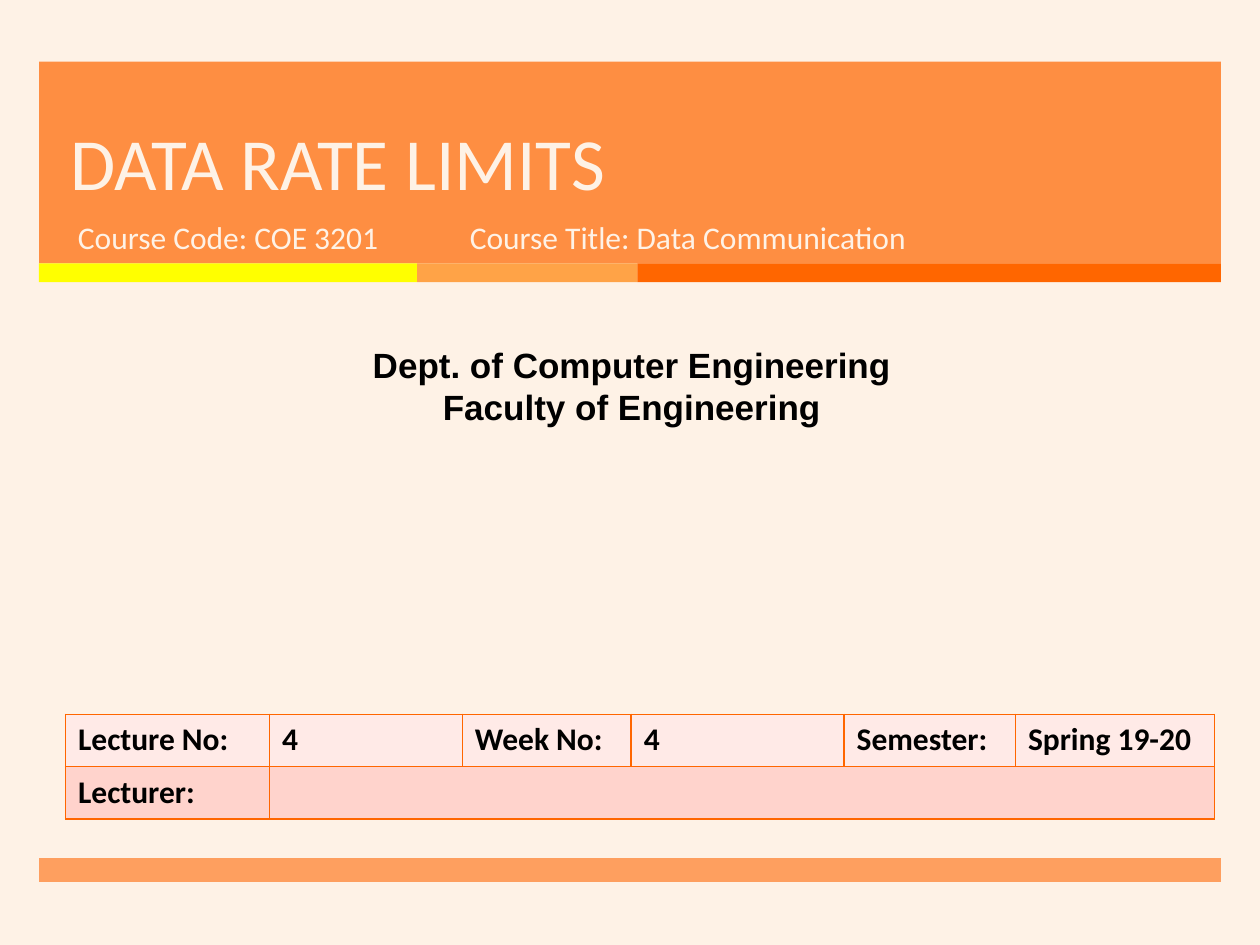
from dataclasses import dataclass

from lxml.etree import SubElement as Sub
from pptx import Presentation
from pptx.dml.color import RGBColor as Rgb
from pptx.enum.shapes import MSO_SHAPE as Kind
from pptx.enum.text import MSO_ANCHOR as Anchor, PP_ALIGN as Align
from pptx.oxml.ns import qn
from pptx.util import Inches, Pt


@dataclass(frozen=True)
class Theme:
    back: str = "FEF2E6"
    band: str = "FF7D26"
    yellow: str = "FFFF00"
    amber: str = "FFA347"
    orange: str = "FF6600"
    ink: str = "000000"
    rows: tuple = ("FFEAE7", "FFD3CC")
    title: int = 42
    dept: int = 20
    body: int = 18
    sans: str = "Calibri"
    bold: str = "Arial"


T = Theme()
LEFT, WIDE = 0.31, 9.38
HEAD = {"name": T.sans, "size": Pt(T.title), "color": T.back}
SUB = {**HEAD, "size": Pt(T.body)}
DEPT = {"name": T.bold, "size": Pt(T.dept), "bold": True, "color": T.ink}
CELL = {**DEPT, "name": T.sans, "size": Pt(T.body)}


def paint(fill, color):
    fill.solid()
    fill.fore_color.rgb = Rgb.from_string(color)


def style(font, form):
    for key, val in form.items():
        if key == "color":
            paint(font.fill, val)
        else:
            setattr(font, key, val)


def add_bar(slide, box, color, alpha=100):
    bar = slide.shapes.add_shape(Kind.RECTANGLE, *map(Inches, box))
    bar.shadow.inherit = False
    bar.line.fill.background()
    paint(bar.fill, color)
    if alpha < 100:
        tone = bar.fill._xPr.find(".//" + qn("a:srgbClr"))
        Sub(tone, qn("a:alpha"), val=str(alpha * 1000))


def add_text(slide, box, lines, form, para=None, anchor=Anchor.TOP):
    frame = slide.shapes.add_textbox(*map(Inches, box)).text_frame
    frame.word_wrap = True
    frame.vertical_anchor = anchor
    frame.text = "\n".join(lines)
    for item in frame.paragraphs:
        for key, val in (para or {}).items():
            setattr(item, key, val)
        style(item.runs[0].font, form)


def add_edges(cell):
    props = cell._tc.get_or_add_tcPr()
    for side in "LRTB":
        edge = Sub(props, qn(f"a:ln{side}"), w=str(Pt(1)))
        fill = Sub(edge, qn("a:solidFill"))
        Sub(fill, qn("a:srgbClr"), val=T.orange)


def add_grid(slide, box, cols, rows):
    shape = slide.shapes.add_table(len(rows), len(cols), *map(Inches, box))
    grid = shape.table
    for col, width in zip(grid.columns, cols):
        col.width = Inches(width)
    for r, row in enumerate(rows):
        for c, text in enumerate(row):
            cell = grid.cell(r, c)
            add_edges(cell)
            paint(cell.fill, T.rows[r])
            if text:
                cell.text = text
                style(cell.text_frame.paragraphs[0].runs[0].font, CELL)
    grid.cell(1, 1).merge(grid.cell(1, len(cols) - 1))


def main():
    deck = Presentation()
    deck.slide_width, deck.slide_height = Inches(10), Inches(7.5)
    slide = deck.slides.add_slide(deck.slide_layouts[6])
    paint(slide.background.fill, T.back)

    add_bar(slide, (LEFT, 0.49, WIDE, 1.6), T.band, 85)
    left = LEFT
    for width, color in ((3, T.yellow), (1.75, T.amber), (4.63, T.orange)):
        add_bar(slide, (left, 2.09, width, 0.15), color)
        left += width
    add_bar(slide, (LEFT, 6.81, WIDE, 0.19), T.band, 70)

    add_text(slide, (0.46, 0.49, 8.54, 1.19), ["DATA RATE LIMITS"], HEAD,
             {"line_spacing": Pt(46)}, Anchor.BOTTOM)
    add_text(slide, (0.52, 1.68, 3.05, 0.53), ["Course Code: COE 3201"], SUB)
    add_text(slide, (3.63, 1.68, 4.55, 0.53),
             ["Course Title: Data Communication"], SUB)
    add_text(slide, (0.08, 2.68, 9.87, 0.77),
             ["Dept. of Computer Engineering", "Faculty of Engineering"],
             DEPT, {"alignment": Align.CENTER})
    add_grid(slide, (0.52, 5.67, 9.12, 0.83),
             (1.62, 1.53, 1.34, 1.69, 1.36, 1.58),
             (("Lecture No:", "4", "Week No:", "4", "Semester:",
               "Spring 19-20"),
              ("Lecturer:", "", "", "", "", "")))
    deck.save("out.pptx")


if __name__ == "__main__":
    main()
